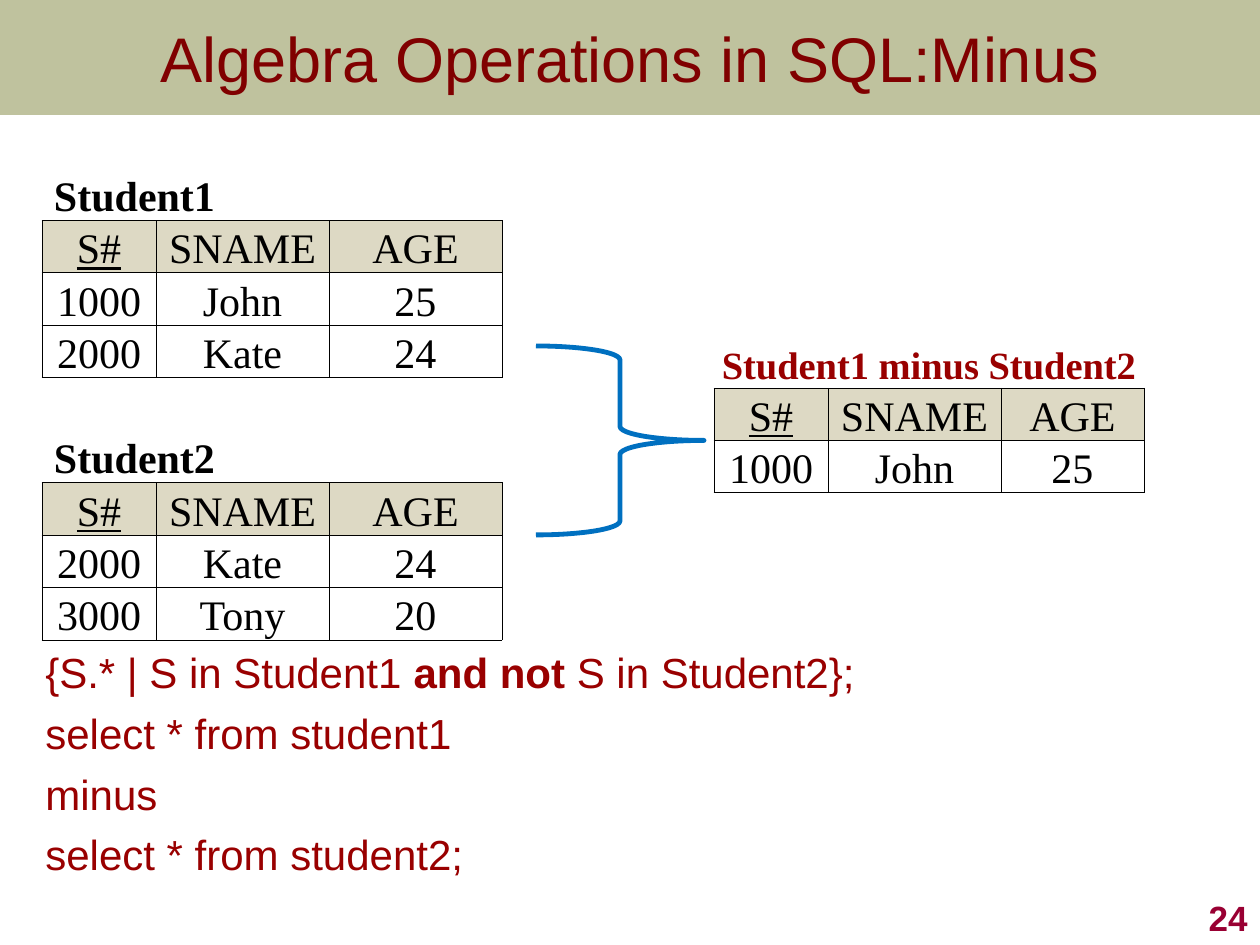
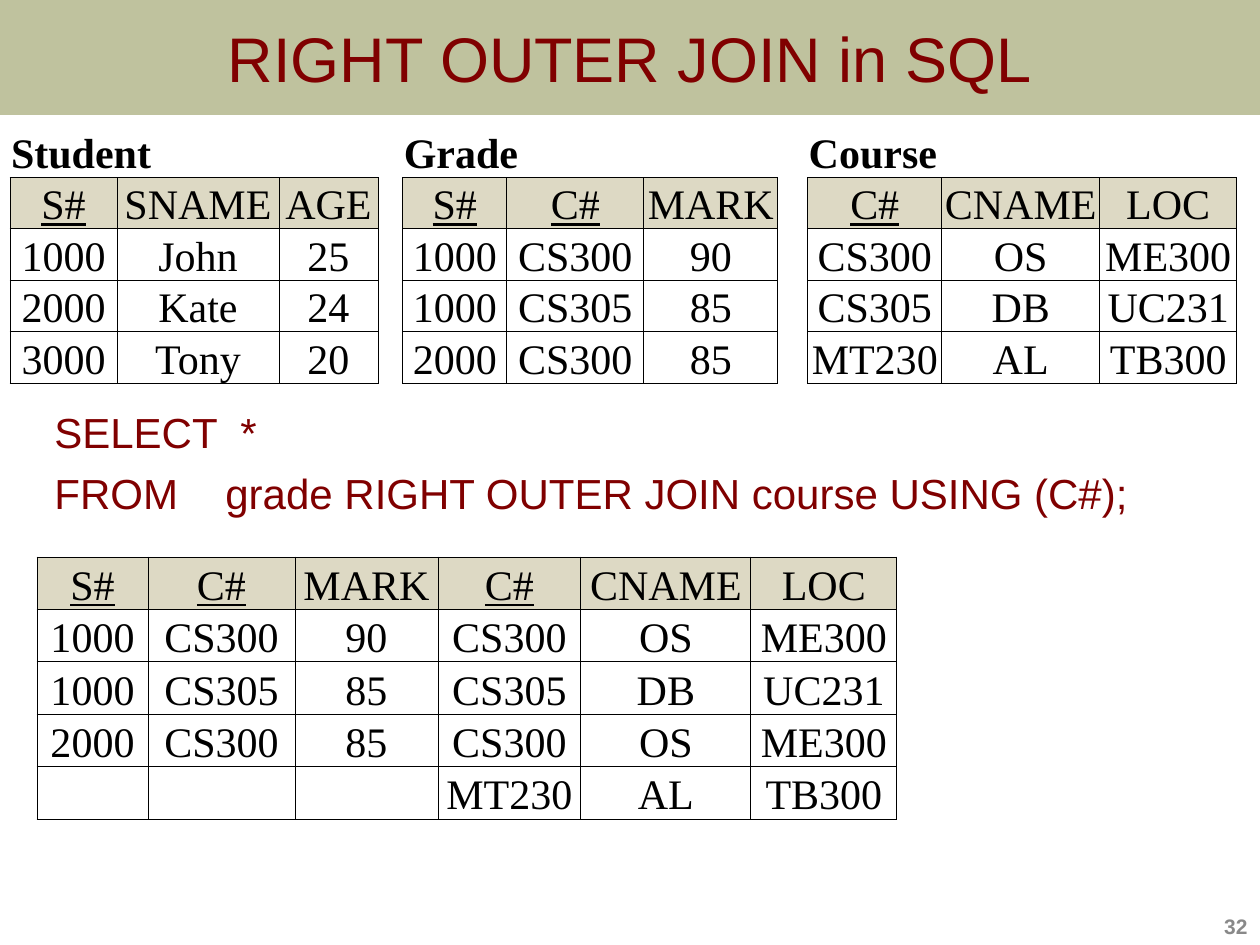
from lxml import etree
from pptx import Presentation
from pptx.dml.color import RGBColor
from pptx.enum.shapes import MSO_SHAPE
from pptx.enum.text import MSO_ANCHOR, MSO_AUTO_SIZE, PP_ALIGN
from pptx.oxml.ns import qn
from pptx.util import Emu, Inches, Pt

RIGHT_BRACE = MSO_SHAPE.RIGHT_BRACE
MIDDLE, BOTTOM = MSO_ANCHOR.MIDDLE, MSO_ANCHOR.BOTTOM
LEFT, CENTER, RIGHT = PP_ALIGN.LEFT, PP_ALIGN.CENTER, PP_ALIGN.RIGHT
NO_AUTOFIT = MSO_AUTO_SIZE.NONE

SCALE = Inches(1) / 126
SANS, SERIF = "Arial", "Times New Roman"
COLORS = {
    "band": "6E7524",
    "title": "800000",
    "query": "990000",
    "header": "DDD9C4",
    "white": "FFFFFF",
    "black": "000000",
    "brace": "0070C0",
    "number": "990033",
    "gray": "898989",
}
SIDES = {"a:lnL": (0, -1), "a:lnR": (0, 1), "a:lnT": (-1, 0), "a:lnB": (1, 0)}

STUDENT = ("S#", "SNAME", "AGE")
GRADE = ("S#", "C#", "MARK")
COURSE = ("C#", "CNAME", "LOC")
JOHN, KATE, TONY = ("1000", "John", "25"), ("2000", "Kate", "24"), ("3000", "Tony", "20")
GRADES = [("1000", "CS300", "90"), ("1000", "CS305", "85"), ("2000", "CS300", "85")]
COURSES = [("CS300", "OS", "ME300"), ("CS305", "DB", "UC231"), ("MT230", "AL", "TB300")]


def px(length):
    return Emu(round(length * SCALE))


def rgb(name):
    return RGBColor.from_string(COLORS[name])


def right_outer_join(grades, courses):
    """Matched rows in grade order, then courses that have no grade."""
    matched = [grade + course for grade in grades for course in courses
               if grade[1] == course[0]]
    graded = {grade[1] for grade in grades}
    blank = ("",) * len(GRADE)
    return matched + [blank + course for course in courses if course[0] not in graded]


class Board:
    def __init__(self, deck):
        self.deck = deck
        self.slide = None

    def new_slide(self, title):
        self.slide = self.deck.slides.add_slide(self.deck.slide_layouts[5])
        band = self.slide.shapes.title
        band.left, band.top, band.width, band.height = map(px, (0, 0, 1260, 115))
        band.fill.solid()
        band.fill.fore_color.rgb = rgb("band")
        color = band.fill._xPr.find(qn("a:solidFill"))[0]
        etree.SubElement(color, qn("a:alpha"), val="44000")
        frame = band.text_frame
        frame.text = title
        frame.auto_size = NO_AUTOFIT
        frame.vertical_anchor = MIDDLE
        self.format(frame.paragraphs[0], SANS, 36, "title", align=CENTER)

    def format(self, para, font, size, color, bold=False, align=LEFT):
        para.alignment = align
        for span in para.runs:
            span.font.name = font
            span.font.size = Pt(size)
            span.font.bold = bold
            span.font.color.rgb = rgb(color)

    def text_box(self, left, top, width, height):
        box = self.slide.shapes.add_textbox(px(left), px(top), px(width), px(height))
        box.text_frame.word_wrap = True
        return box.text_frame

    def page_number(self, number, size, color):
        frame = self.text_box(998, 882, 262, 63)
        frame.text = str(number)
        frame.vertical_anchor = BOTTOM
        self.format(frame.paragraphs[0], SANS, size, color, bold=True, align=RIGHT)

    def query(self, left, top, width, height, color, lines, bold_words="", tabs=()):
        """Write a query; tabs holds one tab stop per line."""
        frame = self.text_box(left, top, width, height)
        frame.margin_right = 0
        frame.text = "\n".join(lines)
        for para in frame.paragraphs:
            if bold_words and bold_words in para.text:
                before, after = para.text.split(bold_words)
                para.text = before
                for text in (bold_words, after):
                    para.add_run().text = text
            self.format(para, SANS, 24, color)
            for span in para.runs:
                span.font.bold = span.text == bold_words
        for para in frame.paragraphs[1:]:
            para.space_before = Pt(6)
        for para, stop in zip(frame.paragraphs, tabs):
            stops = etree.SubElement(para._p.get_or_add_pPr(), qn("a:tabLst"))
            etree.SubElement(stops, qn("a:tab"), pos=str(px(stop)), algn="l")

    def brace(self, left, top, width, height):
        brace = self.slide.shapes.add_shape(
            RIGHT_BRACE, px(left), px(top), px(width), px(height))
        brace.shadow.inherit = False
        brace.fill.background()
        brace.line.color.rgb = rgb("brace")
        brace.line.width = Pt(2.75)

    def grid(self, left, top, widths, height, row_count, relations):
        """Add a table holding relations, given as {(row, column): (header, rows)}."""
        table = self.slide.shapes.add_table(
            row_count, len(widths), px(left), px(top), px(sum(widths)), px(height)).table
        table.first_row = table.horz_banding = False
        for column, width in zip(table.columns, widths):
            column.width = px(width)
        for row in table.rows:
            row.height = px(height / row_count)
        texts, headers = {}, set()
        for (first_row, first_column), (header, rows) in relations.items():
            for row, values in enumerate([header, *rows], first_row):
                for column, text in enumerate(values, first_column):
                    texts[row, column] = text
                    if row == first_row:
                        headers.add((row, column))
        for row in range(row_count):
            for column in range(len(widths)):
                place = (row, column)
                cell = table.cell(row, column)
                self.rule(cell, place, texts)
                cell.fill.solid()
                cell.fill.fore_color.rgb = rgb("header" if place in headers else "white")
                self.cell_text(cell, texts.get(place, ""), align=CENTER)
                for span in cell.text_frame.paragraphs[0].runs:
                    span.font.underline = place in headers and span.text.endswith("#")
        return table

    def rule(self, cell, place, ruled):
        """Draw the sides where the cell or its neighbour is ruled."""
        properties = cell._tc.get_or_add_tcPr()
        for tag, (down, across) in SIDES.items():
            line = etree.SubElement(properties, qn(tag), w=str(Pt(0.5)))
            if place in ruled or (place[0] + down, place[1] + across) in ruled:
                fill = etree.SubElement(line, qn("a:solidFill"))
                etree.SubElement(fill, qn("a:srgbClr"), val=COLORS["black"])
            else:
                etree.SubElement(line, qn("a:noFill"))

    def cell_text(self, cell, text, size=24, color="black", bold=False, align=LEFT):
        cell.margin_left = cell.margin_right = cell.margin_top = px(1)
        cell.margin_bottom = 0
        cell.vertical_anchor = BOTTOM
        cell.text_frame.text = text
        self.format(cell.text_frame.paragraphs[0], SERIF, size, color, bold, align)

    def caption(self, table, row, column, text, span=3, indent=1, **style):
        cell = table.cell(row, column)
        cell.merge(table.cell(row, column + span - 1))
        self.cell_text(cell, text, bold=True, **style)
        cell.margin_left = px(indent)


def minus_slide(board):
    board.new_slide("Algebra Operations in SQL:Minus")
    board.query(33, 640, 1196, 304, "query", [
        "{S.* | S in Student1 and not S in Student2};",
        "select * from student1",
        "minus",
        "select * from student2;",
    ], bold_words="and not ")
    board.page_number(24, 20, "number")

    difference = board.grid(714, 336, (114, 173, 143), 157, 3,
                            {(1, 0): (STUDENT, [JOHN])})
    board.caption(difference, 0, 0, "Student1 minus Student2",
                  size=22, color="query", align=CENTER)
    board.brace(536, 346, 168, 189)
    students = board.grid(42, 168, (114, 173, 173), 472, 9, {
        (1, 0): (STUDENT, [JOHN, KATE]),
        (6, 0): (STUDENT, [KATE, TONY]),
    })
    for row, name in ((0, "Student1"), (5, "Student2")):
        board.caption(students, row, 0, name, span=2, indent=12)


def right_join_slide(board):
    board.new_slide("RIGHT OUTER JOIN in SQL")
    board.query(42, 400, 1166, 128, "title", [
        "SELECT\t*",
        "FROM\tgrade RIGHT OUTER JOIN course USING (C#);",
    ], tabs=(186, 171))
    board.page_number(32, 12, "gray")

    board.grid(37, 557, (111, 147, 143, 143, 170, 146), 262, 5,
               {(0, 0): (GRADE + COURSE, right_outer_join(GRADES, COURSES))})
    sources = board.grid(
        10, 126, (107, 162, 99, 25, 104, 137, 134, 30, 134, 158, 137), 240, 5, {
            (1, 0): (STUDENT, [JOHN, KATE, TONY]),
            (1, 4): (GRADE, GRADES),
            (1, 8): (COURSE, COURSES),
        })
    for column, name in ((0, "Student"), (4, "Grade"), (8, "Course")):
        board.caption(sources, 0, column, name)


def main():
    deck = Presentation()
    deck.slide_width, deck.slide_height = px(1260), px(945)
    board = Board(deck)
    minus_slide(board)
    right_join_slide(board)
    deck.save("out.pptx")


if __name__ == "__main__":
    main()
